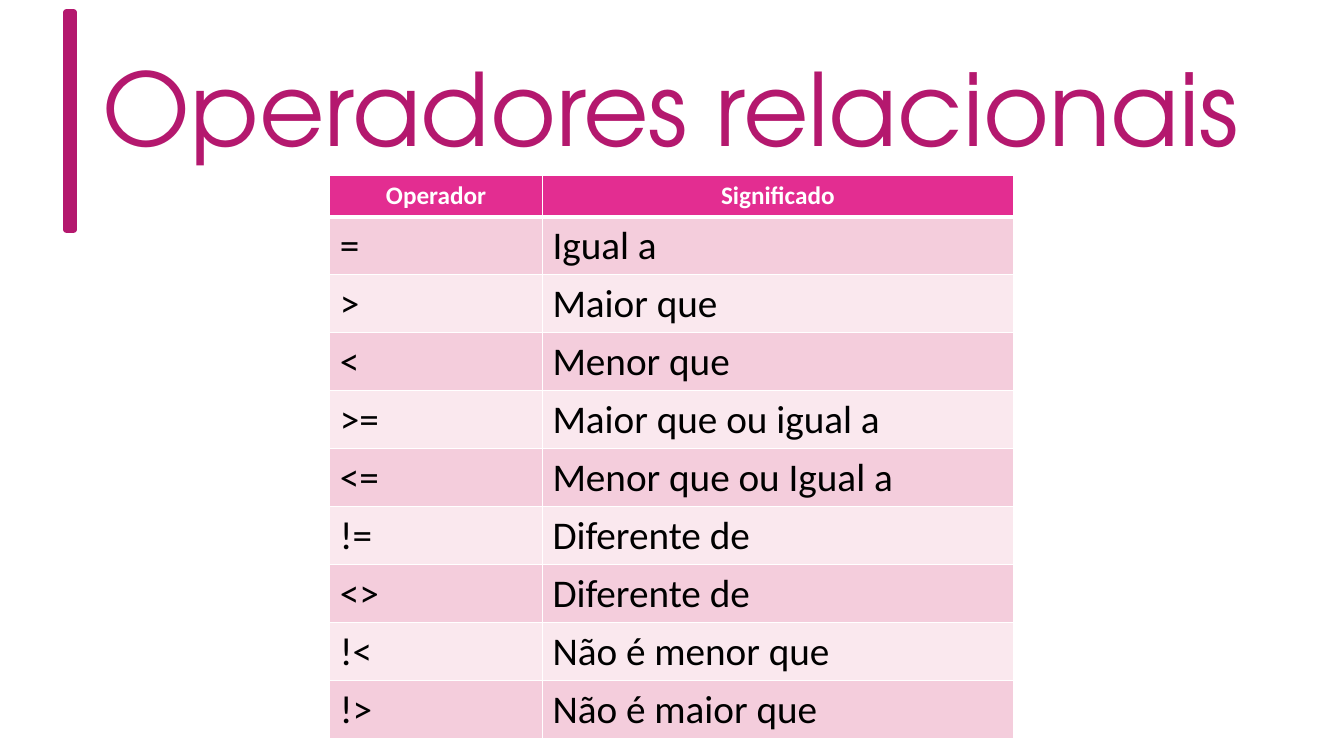
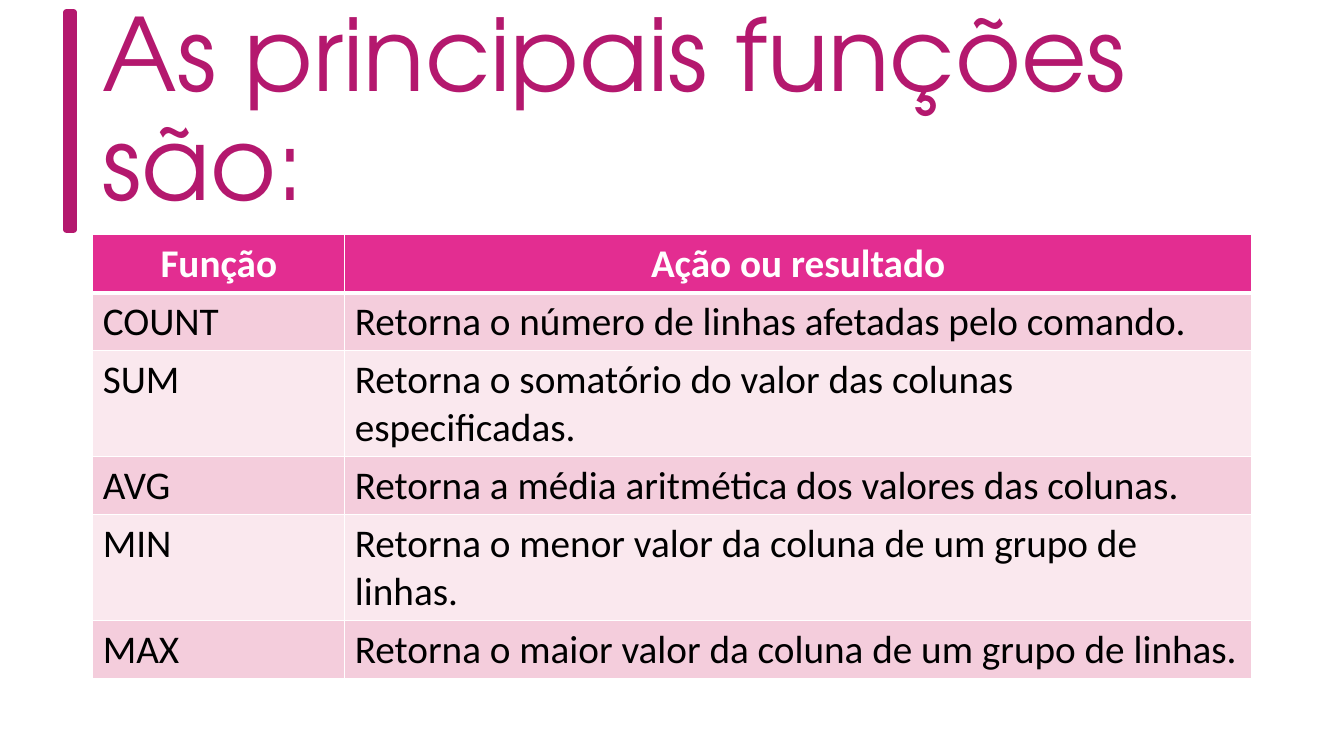
from lxml.etree import SubElement
from pptx import Presentation
from pptx.dml.color import RGBColor as Rgb
from pptx.enum.shapes import MSO_SHAPE as Shape
from pptx.enum.text import MSO_ANCHOR as Anchor, MSO_AUTO_SIZE as AutoSize, PP_ALIGN as Align
from pptx.oxml.ns import qn
from pptx.util import Inches, Pt

COLOURS = {
    "accent": "B4186E",
    "header": "E32D91",
    "odd": "F4CDDC",
    "even": "FAE8EE",
    "white": "FFFFFF",
    "black": "000000",
}
TITLE_FONT, BODY_FONT = "TeX Gyre Adventor", "Calibri"
TITLE_SIZE, BODY_SIZE = 72, 28
LEFT, ROW_HEIGHT = 0.92, 0.41
BAR_BOX = (0.66, 0.12, 0.07, 2.16)
TITLE_TOP, TITLE_HEIGHT = 0.4, 1.45

OPERATORS = [
    ("Operador", "Significado"),
    ("=", "Igual a"),
    (">", "Maior que"),
    ("<", "Menor que"),
    (">=", "Maior que ou igual a"),
    ("<=", "Menor que ou Igual a"),
    ("!=", "Diferente de"),
    ("<>", "Diferente de"),
    ("!<", "Não é menor que"),
    ("!>", "Não é maior que"),
]
FUNCTIONS = [
    ("Função", "Ação ou resultado"),
    ("COUNT", "Retorna o número de linhas afetadas pelo comando."),
    ("SUM", "Retorna o somatório do valor das colunas especificadas."),
    ("AVG", "Retorna a média aritmética dos valores das colunas."),
    ("MIN", "Retorna o menor valor da coluna de um grupo de linhas."),
    ("MAX", "Retorna o maior valor da coluna de um grupo de linhas."),
]


def colour(name):
    """Return the named colour."""
    return Rgb.from_string(COLOURS[name])


def format_text(para, font, size, tint, bold=False):
    """Format every run of a paragraph."""
    for span in para.runs:
        span.font.name = font
        span.font.size = Pt(size)
        span.font.bold = bold
        span.font.color.rgb = colour(tint)


def add_bar(page, box):
    """Draw the upright accent bar with rounded corners."""
    bar = page.shapes.add_shape(Shape.RECTANGLE, *map(Inches, box))
    bar.shadow.inherit = False
    bar.fill.solid()
    bar.fill.fore_color.rgb = colour("accent")
    bar.line.color.rgb = colour("accent")
    bar.line.width = Pt(4.33)
    properties = bar.element.spPr
    SubElement(properties.find(qn("a:ln")), qn("a:round"))
    fill_colour = properties.find(qn("a:solidFill"))[0]
    SubElement(fill_colour, qn("a:alpha"), val="98000")


def set_title(page, text, box):
    """Place and format the title placeholder."""
    title = page.shapes.title
    title.left, title.top, title.width, title.height = map(Inches, box)
    frame = title.text_frame
    frame.text = text
    frame.word_wrap = True
    frame.auto_size = AutoSize.NONE
    frame.vertical_anchor = Anchor.MIDDLE
    para = frame.paragraphs[0]
    para.alignment = Align.LEFT
    para.line_spacing = 0.9
    format_text(para, TITLE_FONT, TITLE_SIZE, "accent")


def set_borders(cell, is_header):
    """Give a cell white borders, with a thick one below the header."""
    properties = cell._tc.get_or_add_tcPr()
    for side in ("lnL", "lnR", "lnT", "lnB"):
        width = 3 if is_header and side == "lnB" else 1
        line = SubElement(properties, qn(f"a:{side}"), w=str(Pt(width)))
        fill = SubElement(line, qn("a:solidFill"))
        SubElement(fill, qn("a:srgbClr"), val=COLOURS["white"])


def format_cell(cell, text, row, header_size):
    """Fill one cell according to its row."""
    is_header = row == 0
    set_borders(cell, is_header)
    cell.fill.solid()
    cell.fill.fore_color.rgb = colour("header" if is_header else "odd" if row % 2 else "even")
    cell.text_frame.text = text
    para = cell.text_frame.paragraphs[0]
    if is_header:
        para.alignment = Align.CENTER
        format_text(para, BODY_FONT, header_size, "white", bold=True)
    else:
        format_text(para, BODY_FONT, BODY_SIZE, "black")


def add_grid(page, rows, left, top, widths, header_size):
    """Add a banded table with a header row."""
    box = (left, top, sum(widths), ROW_HEIGHT * len(rows))
    table = page.shapes.add_table(len(rows), len(widths), *map(Inches, box)).table
    for column, width in zip(table.columns, widths):
        column.width = Inches(width)
    for row, texts in enumerate(rows):
        table.rows[row].height = Inches(ROW_HEIGHT)
        for column, text in enumerate(texts):
            format_cell(table.cell(row, column), text, row, header_size)


def add_table_page(deck, title, title_width, **grid):
    """Add a slide with the accent bar, a title and a table."""
    page = deck.slides.add_slide(deck.slide_layouts.get_by_name("Title Only"))
    add_bar(page, BAR_BOX)
    set_title(page, title, (LEFT, TITLE_TOP, title_width, TITLE_HEIGHT))
    add_grid(page, **grid)


def main():
    """Build and save the deck."""
    deck = Presentation()
    deck.slide_width, deck.slide_height = Inches(13.33), Inches(7.5)
    add_table_page(deck, "Operadores relacionais", 11.91, rows=OPERATORS,
                   left=3.27, top=1.74, widths=(2.11, 4.67), header_size=18)
    add_table_page(deck, "As principais funções são:", 11.5, rows=FUNCTIONS,
                   left=LEFT, top=2.33, widths=(2.5, 8.99), header_size=BODY_SIZE)
    deck.save("out.pptx")


main()
